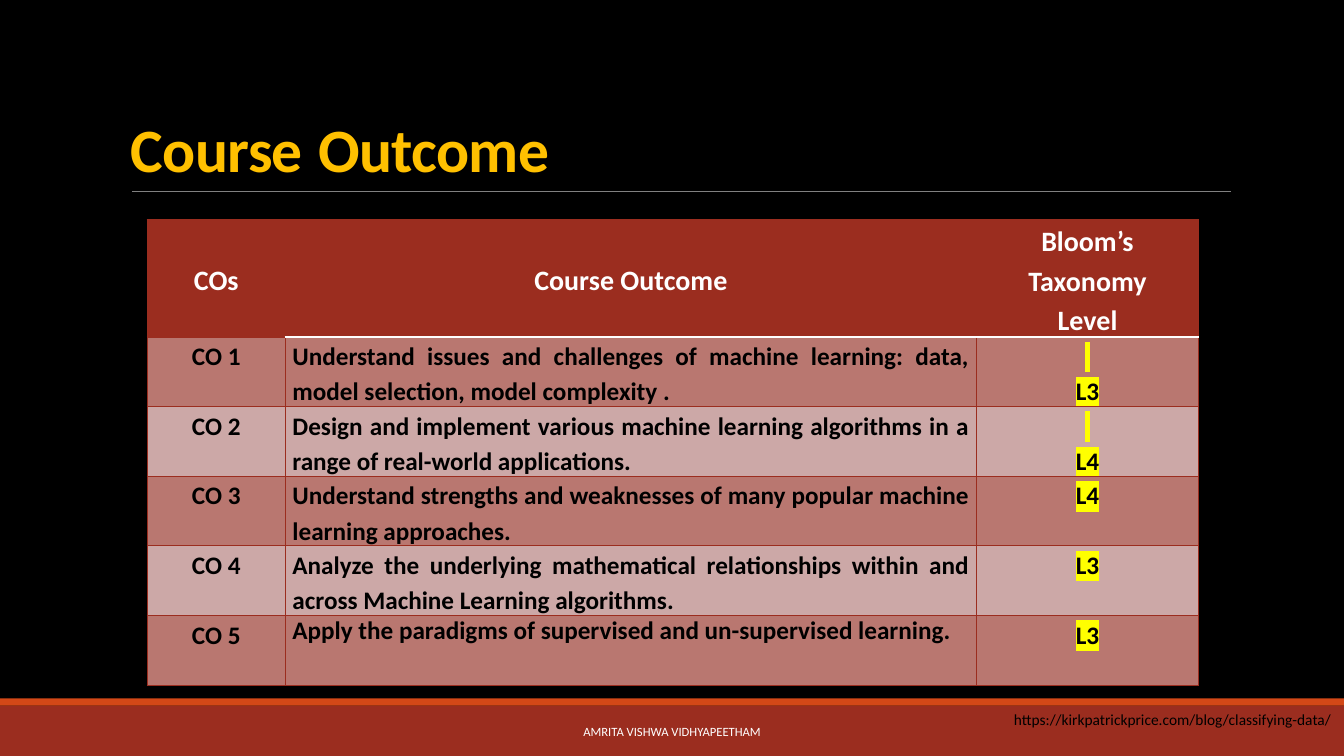
"""Build the Course Outcome slide with its table of outcomes and levels."""
import pptx
import pptx.dml.color
import pptx.enum.shapes
import pptx.enum.text
import pptx.oxml
import pptx.oxml.ns
import pptx.util

Cm = pptx.util.Cm
Pt = pptx.util.Pt
RGBColor = pptx.dml.color.RGBColor
ALIGN = pptx.enum.text.PP_ALIGN
ANCHOR = pptx.enum.text.MSO_ANCHOR

BLACK = RGBColor(0x00, 0x00, 0x00)
WHITE = RGBColor(0xFF, 0xFF, 0xFF)
GOLD = RGBColor(0xFF, 0xC0, 0x00)
BRICK = RGBColor(0x9B, 0x2D, 0x1F)
ORANGE = RGBColor(0xD3, 0x48, 0x17)
GRAY = RGBColor(0x80, 0x80, 0x80)
YELLOW = RGBColor(0xFF, 0xFF, 0x00)
BANDS = [RGBColor(0xB9, 0x77, 0x70), RGBColor(0xCC, 0xA8, 0xA7)]

HEADERS = ["COs", "Course Outcome", "Bloom’s Taxonomy\nLevel"]
OUTCOMES = [
    ("Understand issues and challenges of machine learning: data, "
     "model selection, model complexity .", " \nL3"),
    ("Design and implement various machine learning algorithms in a "
     "range of real-world applications.", " \nL4"),
    ("Understand strengths and weaknesses of many popular machine "
     "learning approaches.", "L4"),
    ("Analyze the underlying mathematical relationships within and "
     "across Machine Learning algorithms.", "L3"),
    ("Apply the paradigms of supervised and un-supervised learning.", "L3"),
]


class SlideBuilder:
    """Hold the font and the current slide, and draw each kind of element."""

    def __init__(self, prs, font="Calibri"):
        self.s = prs.slides.add_slide(prs.slide_layouts[6])
        self.font = font
        fill = self.s.background.fill
        fill.solid()
        fill.fore_color.rgb = BLACK

    def element(self, tag, color, **attrs):
        values = "".join(f' {k}="{v}"' for k, v in attrs.items())
        inner = f'<a:srgbClr val="{color}"/>'
        if tag != "highlight":
            inner = f"<a:solidFill>{inner}</a:solidFill>"
        ns = pptx.oxml.ns.nsdecls("a")
        return pptx.oxml.parse_xml(f"<a:{tag} {ns}{values}>{inner}</a:{tag}>")

    def style(self, p, size, color, bold=False, align=ALIGN.LEFT, spacing=1.0):
        p.alignment = align
        p.line_spacing = spacing
        p.font.name = self.font
        p.font.size = Pt(size)
        p.font.bold = bold
        p.font.color.rgb = color

    def bar(self, top, height, color):
        sp = self.s.shapes.add_shape(
            pptx.enum.shapes.MSO_SHAPE.RECTANGLE, 0, Cm(top), Cm(33.87), Cm(height))
        sp.shadow.inherit = False
        sp.fill.solid()
        sp.fill.fore_color.rgb = color
        sp.line.fill.background()

    def rule(self, left, right, y, color):
        c = self.s.shapes.add_connector(
            pptx.enum.shapes.MSO_CONNECTOR.STRAIGHT, Cm(left), Cm(y), Cm(right), Cm(y))
        c.line.color.rgb = color
        c.line.width = Pt(0.5)
        c._element.spPr.append(
            pptx.oxml.parse_xml(f'<a:effectLst {pptx.oxml.ns.nsdecls("a")}/>'))

    def text(self, box, content, size, color, anchor=ANCHOR.TOP, wrap=True, **style):
        sp = self.s.shapes.add_textbox(*map(Cm, box))
        tf = sp.text_frame
        tf.word_wrap = wrap
        tf.vertical_anchor = anchor
        p = tf.paragraphs[0]
        p.text = content
        self.style(p, size, color, **style)

    def title(self, box, words, size, gap_size, color):
        tf = self.s.shapes.add_textbox(*map(Cm, box)).text_frame
        tf.word_wrap = True
        tf.vertical_anchor = ANCHOR.BOTTOM
        p = tf.paragraphs[0]
        self.style(p, size, color, bold=True, spacing=0.85)
        for text, points in ((words[0], size), (" ", gap_size), (words[1], size)):
            r = p.add_run()
            r.text = text
            r.font.size = Pt(points)
            r._r.get_or_add_rPr().set("spc", "-50")

    def cell(self, cell, content, size, color, fill, bottom=(BRICK, 1),
             anchor=ANCHOR.TOP, align=ALIGN.CENTER, spacing=1.15, highlight=None):
        cell.margin_left = cell.margin_right = Cm(0.18)
        cell.margin_top = cell.margin_bottom = 0
        cell.vertical_anchor = anchor
        tcPr = cell._tc.get_or_add_tcPr()
        for side in "LRTB":
            line, width = bottom if side == "B" else (BRICK, 1)
            tcPr.append(self.element(f"ln{side}", line, w=int(Pt(width))))
        cell.fill.solid()
        cell.fill.fore_color.rgb = fill
        cell.text_frame.text = content
        for p in cell.text_frame.paragraphs:
            self.style(p, size, color, True, align, spacing)
            if highlight is not None:
                for r in p.runs:
                    r._r.get_or_add_rPr().append(self.element("highlight", highlight))

    def table(self, left, top, widths, heights):
        frame = self.s.shapes.add_table(
            len(heights), len(widths), Cm(left), Cm(top), Cm(sum(widths)), Cm(sum(heights)))
        tbl = frame.table
        tbl.first_row = tbl.horz_banding = False
        for col, width in zip(tbl.columns, widths):
            col.width = Cm(width)
        for row, height in zip(tbl.rows, heights):
            row.height = Cm(height)
        return tbl


def main():
    prs = pptx.Presentation()
    prs.slide_width, prs.slide_height = Cm(33.87), Cm(19.05)
    b = SlideBuilder(prs)
    b.bar(17.78, 1.27, BRICK)
    b.bar(17.6, 0.18, ORANGE)
    b.rule(3.33, 31.01, 4.83, GRAY)
    b.title((3.05, 0.79, 27.94, 4.04), ("Course", "Outcome"), 44, 48, GOLD)

    tbl = b.table(3.71, 5.54, [3.48, 17.42, 5.59], [2.95] + [1.755] * 5)
    for col, header in enumerate(HEADERS):
        bottom = (WHITE, 1.25) if col else (BRICK, 1)
        b.cell(tbl.cell(0, col), header, 20, WHITE, BRICK, bottom, ANCHOR.MIDDLE)
    for row, (outcome, level) in enumerate(OUTCOMES, 1):
        fill = BANDS[(row - 1) % 2]
        spacing = 1.0 if row == len(OUTCOMES) else 1.15
        b.cell(tbl.cell(row, 0), f"CO {row}", 18, BLACK, fill)
        b.cell(tbl.cell(row, 1), outcome, 18, BLACK, fill,
               align=ALIGN.JUSTIFY, spacing=spacing)
        b.cell(tbl.cell(row, 2), level, 18, BLACK, fill, highlight=YELLOW)
    for col in (1, 2):
        tcPr = tbl.cell(1, col)._tc.get_or_add_tcPr()
        old = tcPr.find(pptx.oxml.ns.qn("a:lnT"))
        tcPr.replace(old, b.element("lnT", WHITE, w=int(Pt(1.25))))

    b.text((25.3, 17.78, 8.56, 0.74),
           "https://kirkpatrickprice.com/blog/classifying-data/", 11, BLACK, wrap=False)
    b.text((10.24, 17.93, 13.39, 1.02), "AMRITA VISHWA VIDHYAPEETHAM", 9, WHITE,
           anchor=ANCHOR.MIDDLE, align=ALIGN.CENTER)
    prs.save("out.pptx")


if __name__ == "__main__":
    main()
